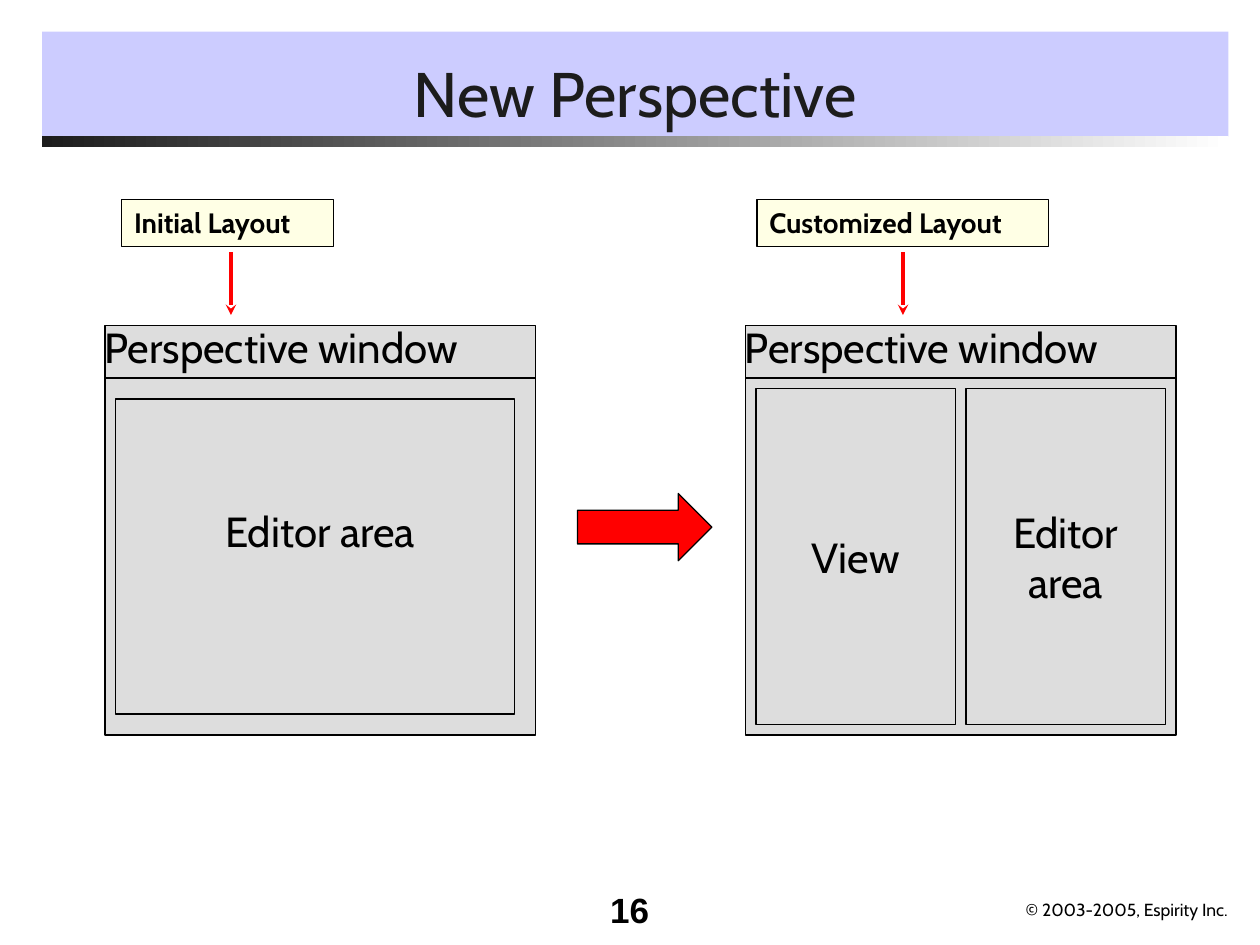
from lxml.etree import SubElement
from pptx import Presentation
from pptx.dml.color import RGBColor
from pptx.enum.shapes import MSO_CONNECTOR, MSO_SHAPE
from pptx.enum.text import MSO_ANCHOR, MSO_AUTO_SIZE, PP_ALIGN
from pptx.oxml.ns import qn
from pptx.util import Inches, Pt

deck = Presentation()
deck.slide_width, deck.slide_height = Inches(10), Inches(7.5)
slide = deck.slides.add_slide(deck.slide_layouts[5])
shapes = slide.shapes
cell = deck.slide_width / 120
LEFT, MID, RIGHT = PP_ALIGN.LEFT, PP_ALIGN.CENTER, PP_ALIGN.RIGHT


def paint(fill, color):
    fill.solid()
    fill.fore_color.rgb = RGBColor.from_string(color)


def write(shape, text, size, align=LEFT, anchor=MSO_ANCHOR.TOP,
          bold=False, face="Cabin", color="000000"):
    frame = shape.text_frame
    frame.text = text
    frame.word_wrap = True
    frame.auto_size = MSO_AUTO_SIZE.NONE
    frame.vertical_anchor = anchor
    para = frame.paragraphs[0]
    para.alignment = align
    font = para.runs[0].font
    font.name, font.size, font.bold = face, Pt(size), bold
    paint(font.fill, color)


title = shapes.title
title.left, title.top, title.width, title.height = [
    int(n * cell) for n in (4, 3, 113, 10)]
paint(title.fill, "CCCCFF")
write(title, "New Perspective", 36, MID, MSO_ANCHOR.BOTTOM, color="1C1C1C")

bar = shapes.add_shape(MSO_SHAPE.RECTANGLE, *[int(n * cell) for n in (4, 13, 113, 1)])
bar.shadow.inherit = False
bar.line.fill.background()
bar.fill.gradient()
bar.fill.gradient_angle = 0
for stop, color in zip(bar.fill.gradient_stops, ("1C1C1C", "FFFFFF")):
    stop.color.rgb = RGBColor.from_string(color)

BOX, ARROW = MSO_SHAPE.RECTANGLE, MSO_SHAPE.RIGHT_ARROW
GREY, RED, CREAM = "DDDDDD", "FF0000", "FFFFCC"
boxes = [
    (BOX, 10, 31, 41, 39, GREY, "Editor area"),
    (BOX, 71, 31, 41, 39, GREY, ""),
    (BOX, 11, 38, 38, 30, None, ""),
    (BOX, 72, 37, 19, 32, None, "View"),
    (BOX, 92, 37, 19, 32, None, "Editor area"),
    (ARROW, 55, 47, 12.8, 6.4, RED, ""),
    (BOX, 11.6, 19, 20.2, 4.45, CREAM, "Initial Layout"),
    (BOX, 72.1, 19, 27.8, 4.45, CREAM, "Customized Layout"),
]
for kind, x, y, w, h, color, text in boxes:
    box = shapes.add_shape(kind, *[int(n * cell) for n in (x, y, w, h)])
    box.shadow.inherit = False
    box.line.width = Pt(0.75)
    paint(box.line.fill, "000000")
    if color:
        paint(box.fill, color)
    else:
        box.fill.background()
    if color == CREAM:
        tint = next(box._element.spPr.iter(qn("a:srgbClr")))
        SubElement(tint, qn("a:alpha"), val="50000")
        write(box, text, 16, bold=True)
    elif text:
        write(box, text, 24, MID, MSO_ANCHOR.MIDDLE)

lines = [
    (10, 36, 51, 36, "000000", 0.75),
    (71, 36, 112, 36, "000000", 0.75),
    (22, 24, 22, 30, RED, 2),
    (86, 24, 86, 30, RED, 2),
]
for *ends, color, width in lines:
    line = shapes.add_connector(MSO_CONNECTOR.STRAIGHT, *[int(n * cell) for n in ends])
    line.line.width = Pt(width)
    paint(line.line.fill, color)
    if color == RED:
        SubElement(line.line._get_or_add_ln(), qn("a:tailEnd"), type="stealth")
    SubElement(line._element.spPr, qn("a:effectLst"))

notes = [
    (8.75, 30, 39.7, 6, "Perspective window", 24, LEFT, False, "Cabin"),
    (69.75, 30, 39.7, 6, "Perspective window", 24, LEFT, False, "Cabin"),
    (53, 84, 10, 6, "16", 20, RIGHT, True, "Arial"),
    (96.5, 85, 22.2, 3.2, "© 2003-2005, Espirity Inc.", 10, LEFT, False, "Cabin"),
]
for x, y, w, h, text, size, align, bold, face in notes:
    note = shapes.add_textbox(*[int(n * cell) for n in (x, y, w, h)])
    write(note, text, size, align, bold=bold, face=face)

deck.save("out.pptx")
